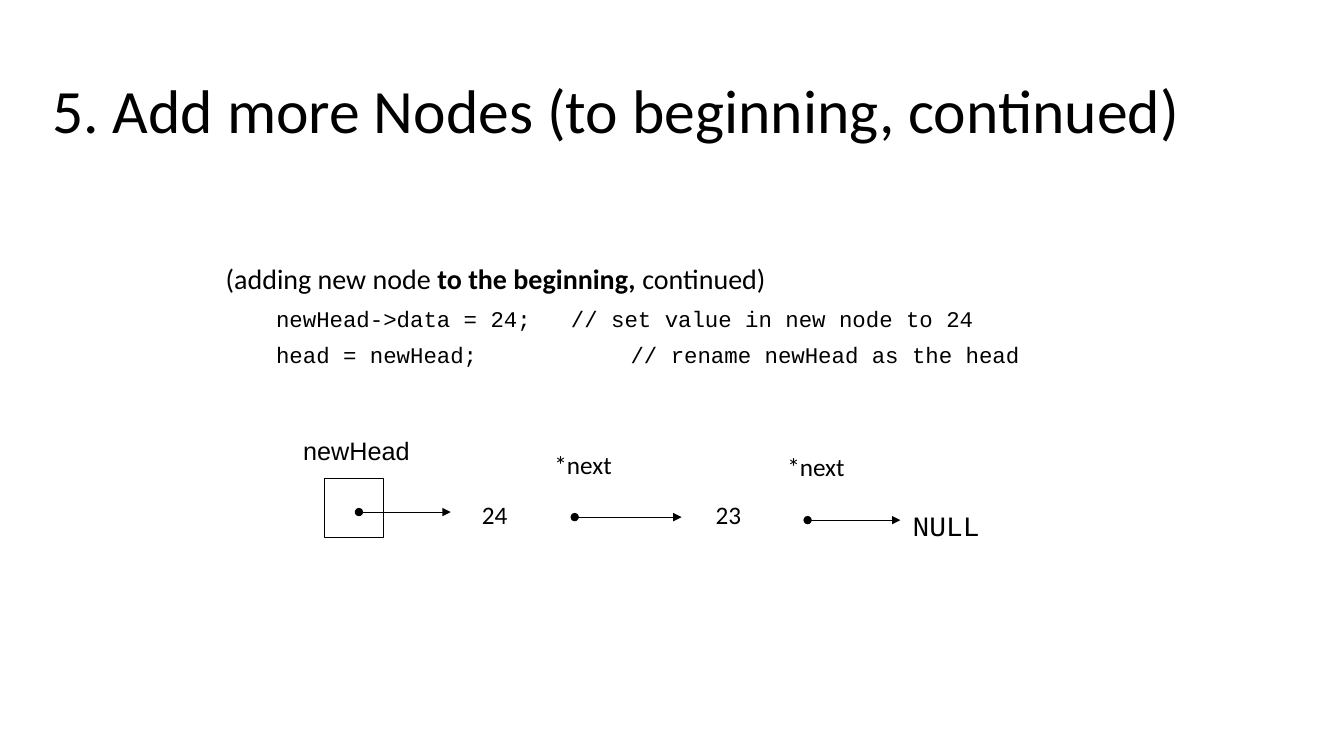
from lxml.etree import SubElement
from pptx import Presentation
from pptx.dml.color import RGBColor
from pptx.enum.shapes import MSO_CONNECTOR, MSO_SHAPE
from pptx.enum.text import MSO_ANCHOR, PP_ALIGN
from pptx.oxml.ns import qn
from pptx.util import Inches, Pt

INK = "000000"
BODY_FONT = "Calibri"
CODE_FONT = "Courier New"


def color(hex_value):
    """Turn a hex string into a colour."""
    return RGBColor.from_string(hex_value)


def apply_format(target, values):
    """Set each named attribute on the target."""
    for name, value in values.items():
        setattr(target, name, value)


def write_runs(paragraph, runs, size, font, layout):
    """Fill a paragraph with (text, bold) runs in one font."""
    apply_format(paragraph, layout)
    for words, bold in runs:
        run = paragraph.add_run()
        run.text = words
        apply_format(run.font, {"size": Pt(size), "name": font, "bold": bold})
        run.font.color.rgb = color(INK)


def add_frame(slide, place, wrap=True, anchor=MSO_ANCHOR.TOP):
    """Add an empty text box and return its text frame."""
    frame = slide.shapes.add_textbox(*map(Inches, place)).text_frame
    apply_format(frame, {"word_wrap": wrap, "vertical_anchor": anchor})
    return frame


def add_label(slide, words, place, size=18, font=BODY_FONT, wrap=True,
              anchor=MSO_ANCHOR.TOP, **layout):
    """Add a text box holding one plain paragraph."""
    frame = add_frame(slide, place, wrap, anchor)
    write_runs(frame.paragraphs[0], [(words, False)], size, font, layout)


def add_explanation(slide):
    """Add the introduction and its indented code lines."""
    frame = add_frame(slide, (2.14, 2.58, 9, 3.94))
    introduction = [("(adding new node ", False),
                    ("to the beginning, ", True), ("continued)", False)]
    write_runs(frame.paragraphs[0], introduction, 20, BODY_FONT,
               {"line_spacing": 0.9})
    code_lines = ("newHead->data = 24;   // set value in new node to 24",
                  "head = newHead;   \t\t  // rename newHead as the head")
    for code in code_lines:
        paragraph = frame.add_paragraph()
        properties = paragraph._p.get_or_add_pPr()
        properties.set("marL", str(Inches(0.75)))
        properties.set("indent", str(Inches(-0.25)))
        write_runs(paragraph, [(code, False)], 16, CODE_FONT,
                   {"level": 1, "line_spacing": 0.9, "space_before": Pt(9)})


def add_pointer(slide, start, end, height):
    """Add a level arrow that starts with a dot."""
    pointer = slide.shapes.add_connector(
        MSO_CONNECTOR.STRAIGHT, *map(Inches, (start, height, end, height)))
    pointer.line.width = Pt(0.75)
    pointer.line.color.rgb = color(INK)
    line = pointer.line._get_or_add_ln()
    SubElement(line, qn("a:headEnd"), type="oval")
    SubElement(line, qn("a:tailEnd"), type="triangle")
    SubElement(pointer._element.spPr, qn("a:effectLst"))


def add_head_cell(slide):
    """Add the outlined cell that holds the head pointer."""
    cell = slide.shapes.add_shape(
        MSO_SHAPE.RECTANGLE, *map(Inches, (3.22, 4.75, 0.58, 0.58)))
    cell.shadow.inherit = False
    cell.fill.background()
    cell.line.color.rgb = color(INK)
    cell.line.width = Pt(0.75)


def main():
    """Build the linked list slide."""
    deck = Presentation()
    apply_format(deck, {"slide_width": Inches(13.33),
                        "slide_height": Inches(7.5)})
    slide = deck.slides.add_slide(deck.slide_layouts[6])

    add_label(slide, "5. Add more Nodes (to beginning, continued)",
              (0.42, 0.4, 12.5, 1.45), size=44, anchor=MSO_ANCHOR.MIDDLE,
              line_spacing=0.9)
    add_explanation(slide)

    add_head_cell(slide)
    add_label(slide, "newHead", (2.9, 4.33, 1.27, 0.34), font="Arial",
              wrap=False, alignment=PP_ALIGN.CENTER, line_spacing=0.8)
    for value, left in (("24", 4.68), ("23", 7)):
        add_label(slide, value, (left, 4.9, 0.72, 0.4))
    for left, top in ((5.4, 4.41), (7.71, 4.43)):
        add_label(slide, "*next", (left, top, 1.01, 0.4))
    for start, end, height in ((3.56, 4.47, 5.08), (5.7, 6.76, 5.13),
                               (8.01, 8.93, 5.16)):
        add_pointer(slide, start, end, height)
    add_label(slide, "NULL", (8.95, 4.93, 0.87, 0.5), size=20, font=CODE_FONT,
              wrap=False, alignment=PP_ALIGN.CENTER, line_spacing=1.2)

    deck.save("out.pptx")


if __name__ == "__main__":
    main()
